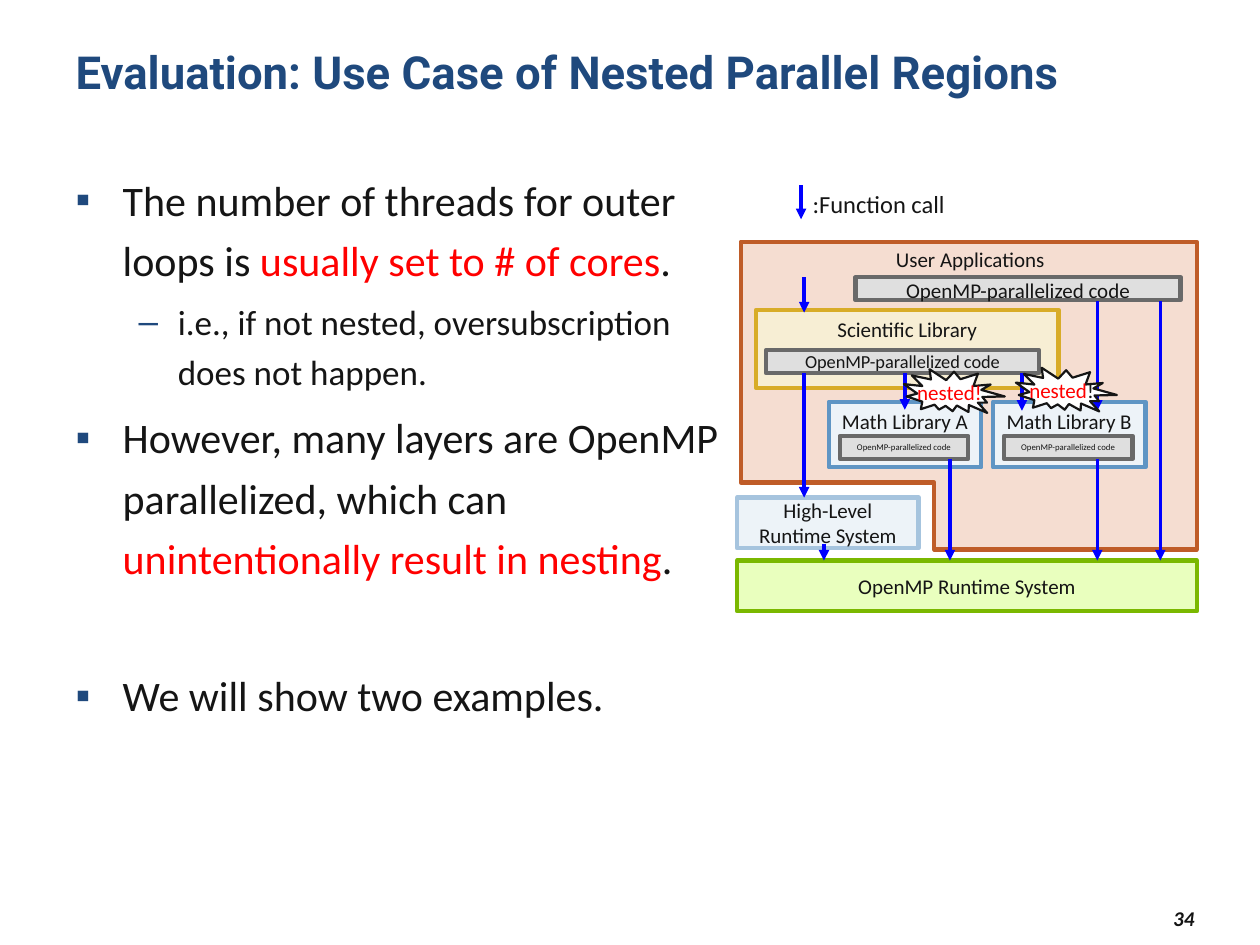
from pptx import Presentation
from pptx import util as u
from pptx.dml.color import RGBColor
from pptx.enum import shapes, text
from pptx.oxml.ns import qn
from lxml import etree

INK, NAVY, RED, BLUE = "151515", "1F497D", "FF0000", "0000FF"
PALE_BLUE = "EDF3F8"
CODE = "OpenMP-parallelized code"


def rgb(code):
    return RGBColor.from_string(code)


def place(item, left, top, width, height):
    item.left, item.top = u.Cm(left), u.Cm(top)
    item.width, item.height = u.Cm(width), u.Cm(height)


def add_spans(para, parts, size, font="Calibri", bold=False, italic=False):
    """Fill a paragraph with (wording, colour) parts."""
    for wording, colour in parts:
        span = para.add_run()
        span.text = wording
        span.font.size, span.font.name = u.Pt(size), font
        span.font.bold, span.font.italic = bold, italic
        span.font.color.rgb = rgb(colour)


def add_bullet(para, symbol, margin, hanging):
    props = para._p.get_or_add_pPr()
    props.set("marL", str(u.Cm(margin)))
    props.set("indent", str(-u.Cm(hanging)))
    colour = etree.SubElement(props, qn("a:buClr"))
    etree.SubElement(colour, qn("a:srgbClr"), val=NAVY)
    etree.SubElement(props, qn("a:buChar"), char=symbol)


def add_label(page, bounds, parts, size, align=text.PP_ALIGN.LEFT, wrap=False, **style):
    box = page.shapes.add_textbox(*map(u.Cm, bounds))
    box.text_frame.word_wrap = wrap
    para = box.text_frame.paragraphs[0]
    para.alignment = align
    add_spans(para, parts, size, **style)
    return box


def add_figure(page, kind, bounds, fill, line, weight=2.5):
    figure = page.shapes.add_shape(kind, *map(u.Cm, bounds))
    figure.shadow.inherit = False
    figure.fill.solid()
    figure.fill.fore_color.rgb = rgb(fill)
    figure.line.color.rgb = rgb(line)
    figure.line.width = u.Pt(weight)
    return figure


def add_block(page, bounds, wording, fill, line, size=12, middle=False, insets=(0.13, 0.13)):
    block = add_figure(page, shapes.MSO_SHAPE.ROUNDED_RECTANGLE, bounds, fill, line)
    block.adjustments[0] = 0
    frame = block.text_frame
    frame.word_wrap = True
    frame.margin_top, frame.margin_bottom = map(u.Cm, insets)
    frame.vertical_anchor = text.MSO_ANCHOR.MIDDLE if middle else text.MSO_ANCHOR.TOP
    frame.paragraphs[0].alignment = text.PP_ALIGN.CENTER
    add_spans(frame.paragraphs[0], [(wording, INK)], size)


def add_code(page, bounds, size, middle=False):
    add_block(page, bounds, CODE, "DFDFDF", "696969", size, middle,
              (0, 0 if middle else 0.13))


def add_call(page, x, top, bottom):
    """Vertical arrow for a function call."""
    call = page.shapes.add_connector(shapes.MSO_CONNECTOR.STRAIGHT,
                                     u.Cm(x), u.Cm(top), u.Cm(x), u.Cm(bottom))
    call.line.color.rgb = rgb(BLUE)
    call.line.width = u.Pt(2)
    etree.SubElement(call.line._get_or_add_ln(), qn("a:tailEnd"), type="triangle")
    etree.SubElement(call._element.spPr, qn("a:effectLst"))


def add_burst(page, left, top, parts):
    burst = add_figure(page, shapes.MSO_SHAPE.EXPLOSION2, (left, top, 2.03, 0.99),
                       "FFFFFF", INK, 1.25)
    burst.rotation = 15
    add_label(page, (left + 0.03, top + 0.1, 1.83, 0.76), parts, 12)


def fill_title(page):
    title = page.shapes.title
    place(title, 1.27, 0.76, 24.33, 2.21)
    frame = title.text_frame
    frame.auto_size = text.MSO_AUTO_SIZE.NONE
    frame.vertical_anchor = text.MSO_ANCHOR.TOP
    frame.paragraphs[0].alignment = text.PP_ALIGN.LEFT
    add_spans(frame.paragraphs[0],
              [("Evaluation: Use Case of Nested Parallel Regions", NAVY)],
              26, "Roboto", bold=True)


def fill_body(page):
    body = page.placeholders[1]
    place(body, 1.27, 3.18, 13.61, 14.99)
    frame = body.text_frame
    frame.auto_size = text.MSO_AUTO_SIZE.NONE
    # level, space before, parts
    points = [
        (0, 0, [("The number of threads for outer loops is ", INK),
                ("usually set to # of cores", RED), (".", INK)]),
        (1, 4, [("i.e., if not nested, oversubscription does not happen.", INK)]),
        (0, 5, [("However, many layers are OpenMP parallelized, which can ", INK),
                ("unintentionally result in nesting", RED), (".", INK)]),
        (0, 44, [("We will show two examples.", INK)]),
    ]
    for index, (level, before, parts) in enumerate(points):
        para = frame.add_paragraph() if index else frame.paragraphs[0]
        add_bullet(para, *(("▪", 0.95, 0.95), ("–", 2.06, 0.79))[level])
        para.level = level
        para.line_spacing = 1.2
        para.space_before = u.Pt(before)
        add_spans(para, parts, (24, 20)[level])


def draw_layers(page):
    # Runtime systems
    add_block(page, (14.86, 10.03, 3.66, 1.02), "High-Level Runtime System",
              PALE_BLUE, "A6C4DE", middle=True)
    add_block(page, (14.86, 11.3, 9.27, 1.02), "OpenMP Runtime System",
              "E9FFBE", "7AB800", middle=True)

    # User applications wrap around the high-level runtime
    user = add_figure(page, shapes.MSO_SHAPE.from_xml("corner"),
                      (16.43, 3.38, 6.2, 9.19), "F5DDD1", "BF5C28")
    user.adjustments[0], user.adjustments[1] = 0.854, 0.783
    user.rotation = 90
    user._element.spPr.find(qn("a:xfrm")).set("flipV", "1")
    add_label(page, (17.78, 4.85, 3.56, 0.76), [("User Applications", INK)], 12,
              text.PP_ALIGN.CENTER, wrap=True)
    add_code(page, (17.25, 5.59, 6.55, 0.46), 12)

    # Libraries
    add_block(page, (15.24, 6.25, 6.1, 1.57), "Scientific Library", "F7EED4", "D8AC28")
    add_code(page, (15.44, 7.06, 5.51, 0.46), 10.5)
    for name, left in (("A", 16.71), ("B", 20.02)):
        add_block(page, (left, 8.1, 3.07, 1.32), f"Math Library {name}",
                  PALE_BLUE, "5F95C4")
        add_code(page, (left + 0.22, 8.79, 2.59, 0.46), 5, middle=True)


def draw_calls(page):
    for x, top, bottom in ((22.12, 6.07, 8.28), (23.39, 6.07, 11.3),
                           (22.12, 9.25, 11.3), (19.15, 9.25, 11.3),
                           (16.21, 7.52, 10.03), (16.61, 10.97, 11.3),
                           (16.21, 5.59, 6.3), (20.6, 7.52, 8.28),
                           (18.24, 7.52, 8.26)):
        add_call(page, x, top, bottom)
    add_burst(page, 18.21, 7.42, [("nested!", RED)])
    add_burst(page, 20.47, 7.39, [("nested", RED), ("!", INK)])

    # Legend
    add_call(page, 16.15, 3.73, 4.42)
    add_label(page, (16.13, 3.68, 3.28, 0.86), [(":Function call", INK)], 14)


def main():
    deck = Presentation()
    deck.slide_width, deck.slide_height = u.Cm(25.4), u.Cm(19.05)
    page = deck.slides.add_slide(deck.slide_layouts[1])
    fill_title(page)
    fill_body(page)
    number = add_label(page, (21.59, 18.16, 2.74, 0.69), [("34", INK)], 12,
                       text.PP_ALIGN.RIGHT, wrap=True, bold=True, italic=True)
    number.text_frame.vertical_anchor = text.MSO_ANCHOR.MIDDLE
    draw_layers(page)
    draw_calls(page)
    deck.save("out.pptx")


if __name__ == "__main__":
    main()
